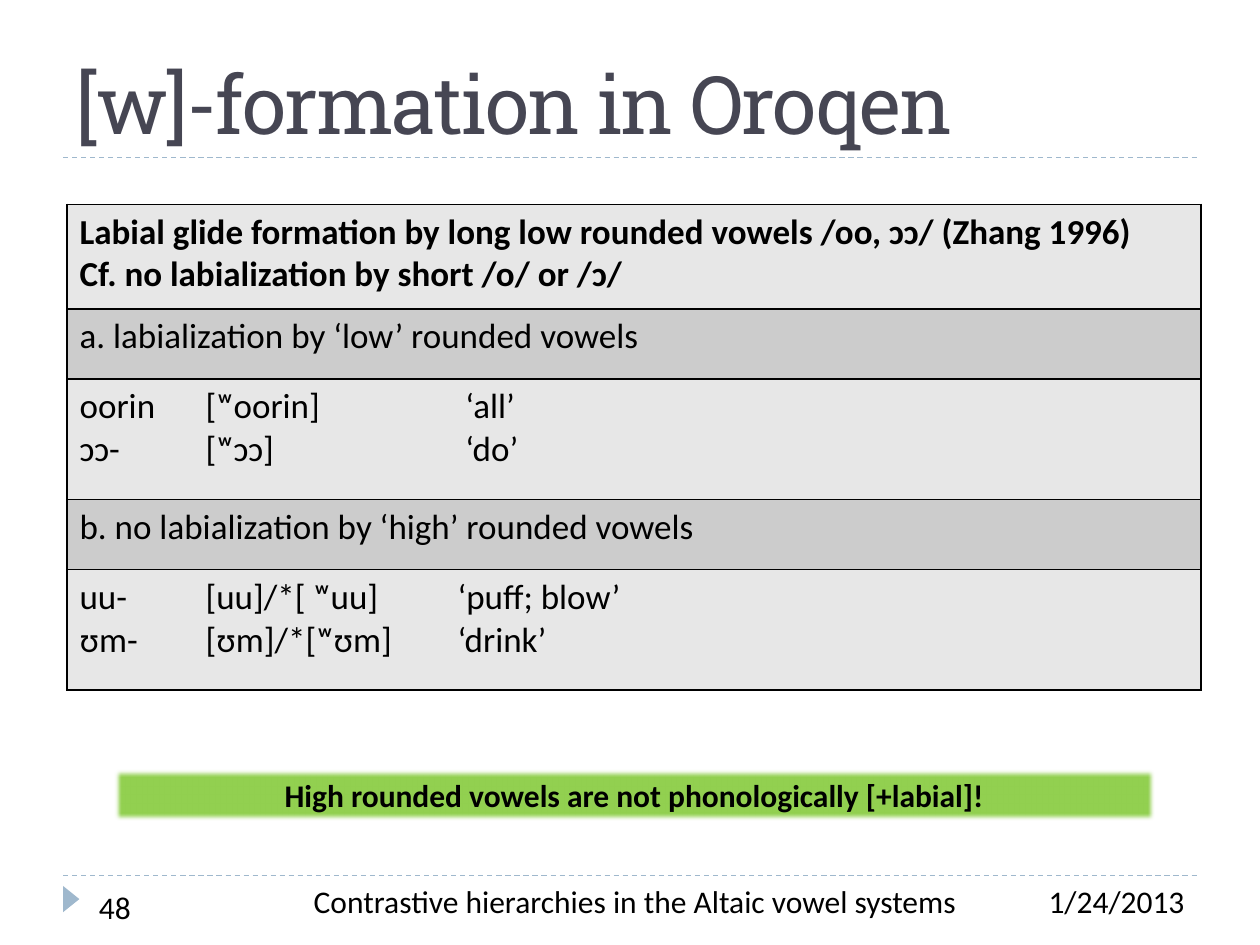
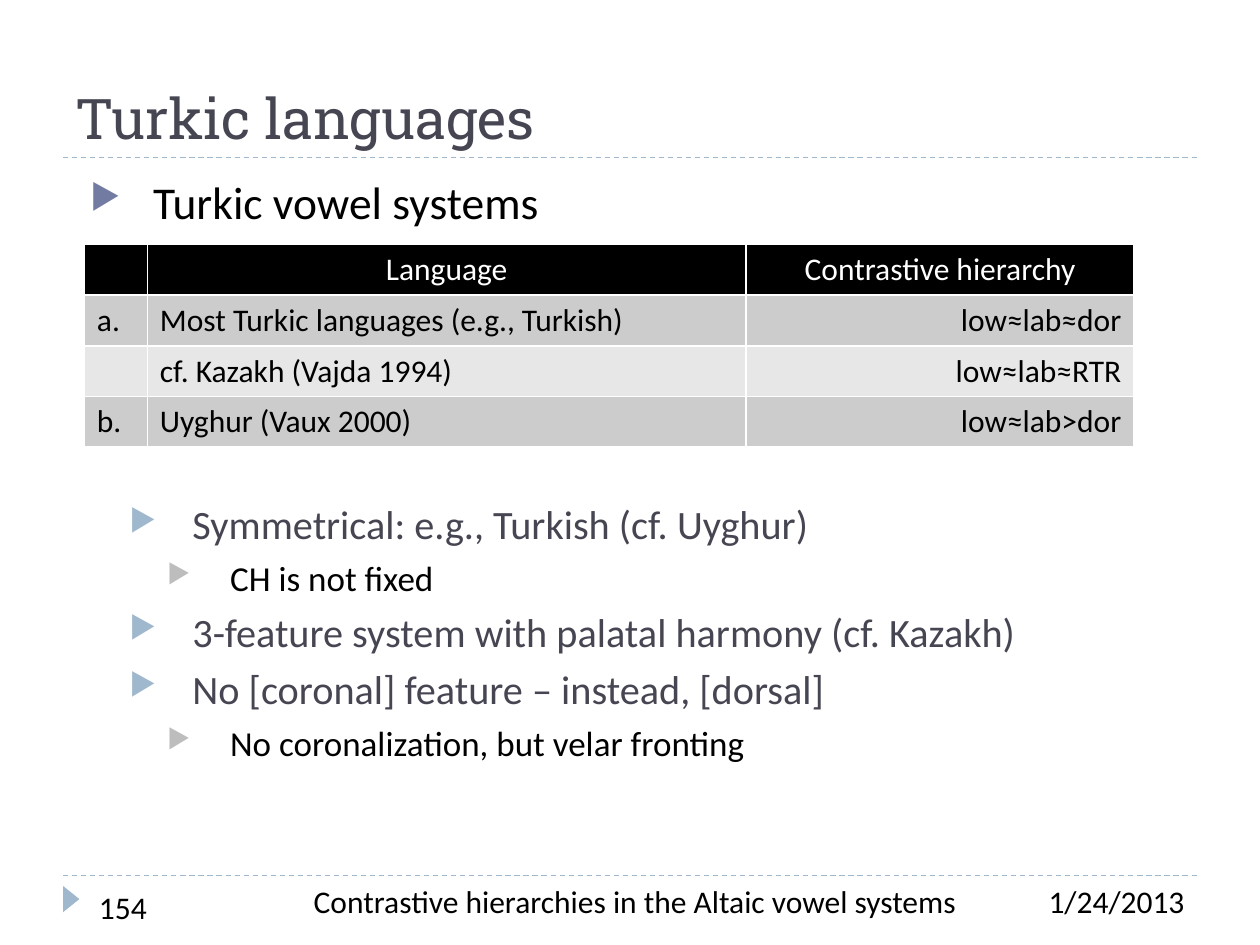
"""Build two slides on vowel systems: a glide table and a language table."""
import dataclasses
import typing

import lxml.etree
import pptx
import pptx.dml.color
import pptx.enum.dml
import pptx.enum.shapes
import pptx.enum.text
import pptx.oxml.ns
import pptx.slide
import pptx.util

Cm = pptx.util.Cm
Pt = pptx.util.Pt
ALIGN = pptx.enum.text.PP_ALIGN
ANCHOR = pptx.enum.text.MSO_ANCHOR
SHAPE = pptx.enum.shapes.MSO_SHAPE
Slide = pptx.slide.Slide


@dataclasses.dataclass(frozen=True)
class Theme:
    head: str = "Roboto Slab"
    body: str = "Calibri"
    ink: str = "000000"
    paper: str = "FFFFFF"
    slate: str = "464653"
    sky: str = "9FB8CD"
    dusk: str = "727CA3"
    ash: str = "BDBDBD"
    light: str = "E7E7E7"
    dark: str = "CCCCCC"
    green: str = "92D050"
    small: int = 18
    mid: int = 20


T = Theme()


class Box(typing.NamedTuple):
    left: float
    top: float
    width: float
    height: float

    def cm(self) -> list[pptx.util.Length]:
        return [Cm(size) for size in self]


class Font(typing.NamedTuple):
    size: int = T.small
    color: str = T.ink
    bold: bool = False
    name: str = T.body


class Level(typing.NamedTuple):
    indent: float
    before: int
    mark: str
    font: Font


class Point(typing.NamedTuple):
    text: str
    level: int
    before: int | None = None


class Cell(typing.NamedTuple):
    text: str
    fill: str
    font: Font = Font()
    align: ALIGN = ALIGN.LEFT


class Grid(typing.NamedTuple):
    left: float
    top: float
    cols: list[float]
    rows: list[float]
    cells: list[list[Cell]]
    edge: str
    head: bool = False


class Note(typing.NamedTuple):
    text: str
    box: Box
    align: ALIGN


TITLE = Box(1.27, 0.43, 22.86, 2.74)
RULES = (3.17, 17.65)
ARROW = Box(1.17, 17.96, 0.53, 0.33)
NUMBER = Box(1.7, 17.73, 3.4, 0.94)
NOTES = [
    Note("1/24/2013", Box(20.5, 17.65, 3.63, 1.02), ALIGN.RIGHT),
    Note("Contrastive hierarchies in the Altaic vowel systems",
         Box(5.1, 17.65, 15.4, 1.02), ALIGN.CENTER),
]
STOPS = (2.54, 7.62)

LEVELS = [
    Level(1.57, 6, T.dusk, Font(26)),
    Level(2.36, 5, T.sky, Font(23, T.slate)),
    Level(3.12, 5, T.ash, Font(T.mid)),
]
POINTS = [
    Point("Turkic vowel systems", 0),
    Point("Symmetrical: e.g., Turkish (cf. Uyghur)", 1, 155),
    Point("CH is not fixed", 2),
    Point("3-feature system with palatal harmony (cf. Kazakh)", 1),
    Point("No [coronal] feature – instead, [dorsal]", 1),
    Point("No coronalization, but velar fronting", 2),
]
GLIDES = [
    "Labial glide formation by long low rounded vowels /oo, ɔɔ/ (Zhang 1996)\n"
    "Cf. no labialization by short /o/ or /ɔ/",
    "a. labialization by ‘low’ rounded vowels",
    "oorin\t[ʷoorin]\t ‘all’\nɔɔ-\t[ʷɔɔ]\t ‘do’",
    "b. no labialization by ‘high’ rounded vowels",
    "uu-\t[uu]/*[ ʷuu]\t‘puff; blow’\nʊm-\t[ʊm]/*[ʷʊm]\t‘drink’",
]
TONGUES = [
    ("", "Language", "Contrastive hierarchy"),
    ("a.", "Most Turkic languages (e.g., Turkish)", "low≈lab≈dor"),
    ("", "cf. Kazakh (Vajda 1994)", "low≈lab≈RTR"),
    ("b.", "Uyghur (Vaux 2000)", "low≈lab>dor"),
]


def put(item: typing.Any, values: dict[str, typing.Any]) -> None:
    for key, value in values.items():
        setattr(item, key, value)


def rgb(code: str) -> pptx.dml.color.RGBColor:
    return pptx.dml.color.RGBColor.from_string(code)


def node(root: typing.Any, tag: str, **values: typing.Any) -> typing.Any:
    name = pptx.oxml.ns.qn(f"a:{tag}")
    return lxml.etree.SubElement(root, name, {k: str(v) for k, v in values.items()})


def paint(item: typing.Any, code: str) -> None:
    item.fill.solid()
    item.fill.fore_color.rgb = rgb(code)


def write(frame: typing.Any, text: str, font: Font, align: ALIGN = ALIGN.LEFT) -> None:
    frame.word_wrap = True
    for i, line in enumerate(text.split("\n")):
        para = frame.paragraphs[0] if i == 0 else frame.add_paragraph()
        para.alignment = align
        say(para, line, font)
        if "\t" in line:
            tabs = node(para._p.get_or_add_pPr(), "tabLst")
            for stop in STOPS:
                node(tabs, "tab", pos=Cm(stop), algn="l")


def say(para: typing.Any, text: str, font: Font) -> None:
    if text:
        run = para.add_run()
        run.text = text
        put(run.font, {"name": font.name, "size": Pt(font.size), "bold": font.bold})
        run.font.color.rgb = rgb(font.color)


def shape(slide: Slide, kind: SHAPE, box: Box, fill: str | None = None) -> typing.Any:
    item = slide.shapes.add_shape(kind, *box.cm())
    item.shadow.inherit = False
    item.line.fill.background()
    if fill:
        paint(item, fill)
    else:
        item.fill.background()
    return item


def rule(slide: Slide, top: float) -> None:
    kind = pptx.enum.shapes.MSO_CONNECTOR.STRAIGHT
    line = slide.shapes.add_connector(kind, Cm(1.27), Cm(top), Cm(24.13), Cm(top))
    put(line.line, {"width": Pt(0.75), "dash_style": pptx.enum.dml.MSO_LINE.DASH})
    line.line.color.rgb = rgb(T.sky)
    node(line._element.spPr, "effectLst")


def start(deck: typing.Any, text: str, size: int, number: int, space: int = 0) -> Slide:
    slide = deck.slides.add_slide(deck.slide_layouts[5])
    title = slide.shapes.title
    put(title, dict(zip(Box._fields, TITLE.cm())))
    put(title.text_frame, {"auto_size": pptx.enum.text.MSO_AUTO_SIZE.NONE,
                           "vertical_anchor": ANCHOR.BOTTOM})
    write(title.text_frame, text, Font(size, T.slate, name=T.head))
    if space:
        title.text_frame.paragraphs[0].runs[0].font._element.set("spc", str(space))
    for top in RULES:
        rule(slide, top)
    shape(slide, SHAPE.ISOSCELES_TRIANGLE, ARROW, T.sky).rotation = 90
    for note in NOTES:
        area = slide.shapes.add_textbox(*note.box.cm())
        write(area.text_frame, note.text, Font(), note.align)
    page = shape(slide, SHAPE.DOUBLE_BRACKET, NUMBER)
    page.text_frame.vertical_anchor = ANCHOR.TOP
    write(page.text_frame, str(number), Font())
    return slide


def edge(cell: typing.Any, code: str) -> None:
    for side in "LRTB":
        line = node(cell._tc.get_or_add_tcPr(), f"ln{side}", w=Pt(1))
        node(node(line, "solidFill"), "srgbClr", val=code)


def table(slide: Slide, grid: Grid) -> None:
    box = Box(grid.left, grid.top, sum(grid.cols), sum(grid.rows))
    item = slide.shapes.add_table(len(grid.rows), len(grid.cols), *box.cm()).table
    put(item, {"first_row": grid.head, "horz_banding": False})
    for col, width in zip(item.columns, grid.cols):
        col.width = Cm(width)
    for row, height, cells in zip(item.rows, grid.rows, grid.cells):
        row.height = Cm(height)
        for spot, cell in zip(row.cells, cells):
            edge(spot, grid.edge)
            paint(spot, cell.fill)
            write(spot.text_frame, cell.text, cell.font, cell.align)


def points(slide: Slide, box: Box, items: list[Point]) -> None:
    frame = slide.shapes.add_textbox(*box.cm()).text_frame
    frame.word_wrap = True
    for i, item in enumerate(items):
        level = LEVELS[item.level]
        para = frame.paragraphs[0] if i == 0 else frame.add_paragraph()
        put(para, {"level": item.level, "space_before": Pt(item.before or level.before)})
        props = para._p.get_or_add_pPr()
        props.set("marL", str(Cm(level.indent)))
        props.set("indent", str(Cm(-1.27)))
        node(node(props, "buClr"), "srgbClr", val=level.mark)
        node(props, "buSzPct", val=76000)
        node(props, "buChar", char="▶")
        say(para, item.text, level.font)


def glide(deck: typing.Any) -> None:
    slide = start(deck, "[w]-formation in Oroqen", 46, 48, -100)
    cells = [[Cell(text, T.dark if i % 2 else T.light, Font(T.mid, bold=i == 0))]
             for i, text in enumerate(GLIDES)]
    rows = [2.11, 1.41, 2.43, 1.41, 2.43]
    table(slide, Grid(1.35, 4.12, [22.86], rows, cells, T.ink))
    claim = shape(slide, SHAPE.RECTANGLE, Box(2.31, 15.52, 20.96, 1.02), T.green)
    effects = claim._element.spPr.find(pptx.oxml.ns.qn("a:effectLst"))
    node(effects, "softEdge", rad=Pt(2.5))
    write(claim.text_frame, "High rounded vowels are not phonologically [+labial]!",
          Font(bold=True), ALIGN.CENTER)


def turkic(deck: typing.Any) -> None:
    slide = start(deck, "Turkic languages", 32, 154)
    points(slide, Box(1.27, 3.38, 22.86, 13.72), POINTS)
    sides = (ALIGN.LEFT, ALIGN.LEFT, ALIGN.RIGHT)
    head = [Cell(text, T.ink, Font(color=T.paper), ALIGN.CENTER) for text in TONGUES[0]]
    rest = [[Cell(text, T.light if i % 2 else T.dark, align=side)
             for text, side in zip(row, sides)] for i, row in enumerate(TONGUES[1:])]
    table(slide, Grid(1.7, 4.93, [1.27, 12.07, 7.82], [1.02] * len(TONGUES),
                      [head, *rest], T.paper, True))


def main() -> None:
    deck = pptx.Presentation()
    put(deck, {"slide_width": Cm(25.4), "slide_height": Cm(19.05)})
    glide(deck)
    turkic(deck)
    deck.save("out.pptx")


if __name__ == "__main__":
    main()
